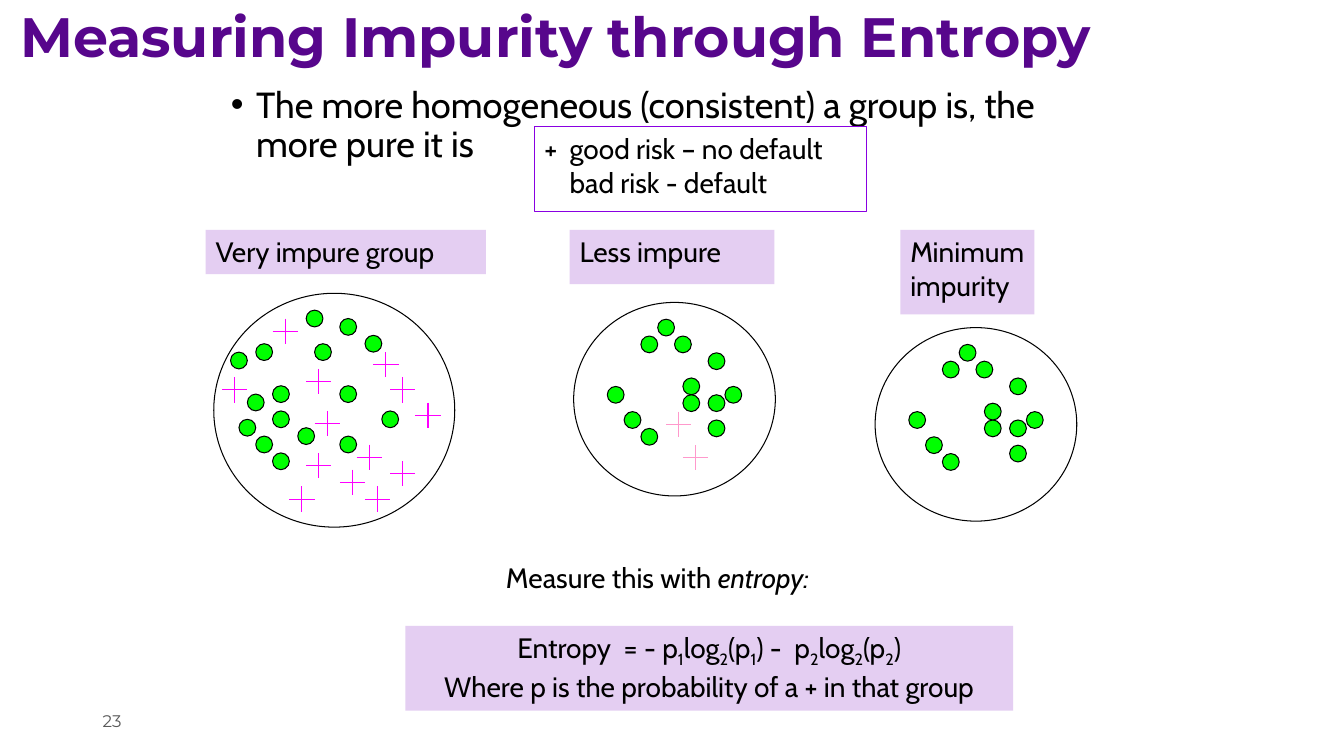
from dataclasses import dataclass
from lxml import etree
from pptx import Presentation
from pptx.dml.color import RGBColor
from pptx.enum import shapes as sh, text as tx
from pptx.oxml.ns import qn
from pptx.util import Inches, Pt

# Content
TITLE = "Measuring Impurity through Entropy"
POINT = "The more homogeneous (consistent) a group is, the more pure it is"
LEGEND = ["+\tgood risk – no default", "bad risk - default"]
MEASURE = [("Measure this with ", False), ("entropy:", True)]
# Underscore marks the next character as a subscript
FORMULA = ["Entropy  = - p_1log_2(p_1) -  p_2log_2(p_2)",
           "Where p is the probability of a + in that group"]
NUMBER = "23"

# Marks are (column, row) grid steps from the corner of their circle
MIXED_DOTS = [(20, 14), (15, 11), (5, 6), (3, 15), (7, 14), (15, 3), (11, 2),
              (12, 6), (18, 5), (15, 17), (5, 17), (7, 19), (10, 16), (7, 11),
              (4, 12), (2, 7)]
MIXED_PLUS = [(7, 3), (11, 9), (11, 19), (19, 7), (1, 10), (15, 21), (9, 23),
              (21, 20), (12, 14), (17, 18), (18, 23), (21, 10), (24, 13)]
PURE_DOTS = [(10, 2), (16, 11), (13, 11), (8, 4), (16, 14), (16, 6), (4, 10),
             (6, 13), (8, 15), (12, 4), (13, 9), (18, 10)]


@dataclass
class Theme:
    title: str = "57068C"
    ink: str = "000000"
    gray: str = "595959"
    panel: str = "E4CEF2"
    frame: str = "8900E1"
    dot: str = "00FF00"
    plus: str = "FF00FF"
    pale: str = "FF99CC"
    head: str = "Montserrat"
    body: str = "Cabin"
    big: float = 39.6
    mid: float = 25.9
    text: float = 20
    small: float = 12
    line: float = 0.75


T = Theme()
# Label, label box, circle box, dots, pluses, plus colour
GROUPS = [
    ("Very impure group", (2.04, 2.28, 2.78, 0.44), (2.12, 2.91, 2.39, 2.32),
     MIXED_DOTS, MIXED_PLUS, T.plus),
    ("Less impure", (5.65, 2.28, 2.03, 0.54), (5.69, 3, 2, 1.92),
     PURE_DOTS, [(11, 13), (13, 17)], T.pale),
    ("Minimum impurity", (8.93, 2.28, 1.33, 0.84), (8.68, 3.25, 2, 1.92),
     PURE_DOTS, [], T.pale),
]
STEP = 1 / 12
DOT, PLUS = 2 * STEP, 3 * STEP


def rgb(color):
    return RGBColor.from_string(color)


def box(*at):
    return [Inches(n) for n in at]


def style(para, size=T.text, face=T.body, color=T.ink, bold=False):
    font = para.font
    font.size, font.name, font.bold = Pt(size), face, bold
    font.color.rgb = rgb(color)


def indent(para, left, first):
    props = para._p.get_or_add_pPr()
    props.set("marL", str(Inches(left)))
    props.set("indent", str(Inches(first)))
    return props


def shape(host, kind, at, fill=None, line=None):
    item = host.shapes.add_shape(kind, *box(*at))
    item.shadow.inherit = False
    if fill:
        item.fill.solid()
        item.fill.fore_color.rgb = rgb(fill)
    else:
        item.fill.background()
    if line:
        item.line.color.rgb = rgb(line)
        item.line.width = Pt(T.line)
    else:
        item.line.fill.background()
    return item


def panel(at, lines, fill=None, line=None, align=tx.PP_ALIGN.LEFT):
    item = shape(slide, sh.MSO_SHAPE.RECTANGLE, at, fill, line)
    frame = item.text_frame
    frame.word_wrap = True
    frame.vertical_anchor = tx.MSO_ANCHOR.TOP
    for i, words in enumerate(lines):
        para = frame.add_paragraph() if i else frame.paragraphs[0]
        first, *rest = words.split("_")
        para.add_run().text = first
        for part in rest:
            sub = para.add_run()
            sub.text = part[0]
            sub._r.get_or_add_rPr().set("baseline", "-25000")
            para.add_run().text = part[1:]
        para.alignment = align
        style(para)
    return frame


def stroke(host, x1, y1, x2, y2, color):
    item = host.shapes.add_connector(sh.MSO_CONNECTOR.STRAIGHT,
                                     *box(x1, y1, x2, y2))
    item.line.color.rgb = rgb(color)
    item.line.width = Pt(T.line)
    etree.SubElement(item._element.spPr, qn("a:effectLst"))


deck = Presentation()
deck.slide_width, deck.slide_height = box(13.33, 7.5)
slide = deck.slides.add_slide(deck.slide_layouts[1])


def place(item, at, anchor, words):
    item.left, item.top, item.width, item.height = box(*at)
    frame = item.text_frame
    frame.word_wrap = True
    frame.auto_size = tx.MSO_AUTO_SIZE.NONE
    frame.vertical_anchor = anchor
    para = frame.paragraphs[0]
    para.text = words
    para.alignment = tx.PP_ALIGN.LEFT
    return para


# Title and main point
head = place(slide.shapes.title, (0.1, 0.08, 11.58, 0.62),
             tx.MSO_ANCHOR.MIDDLE, TITLE)
head.line_spacing = 0.9
style(head, T.big, T.head, T.title, True)

point = place(slide.placeholders[1], (2.19, 0.81, 9, 0.89),
              tx.MSO_ANCHOR.TOP, POINT)
point.line_spacing = 0.9
point.space_before = Pt(0)
props = indent(point, 0.25, -0.25)
etree.SubElement(props, qn("a:buChar")).set("char", "•")
style(point, T.mid)

# Groups: label, circle, dots and pluses
for label, spot, ring, dots, pluses, color in GROUPS:
    panel(spot, [label], T.panel)
    group = slide.shapes.add_group_shape()
    oval = sh.MSO_SHAPE.OVAL
    shape(group, oval, ring, line=T.ink)
    left, top = ring[:2]
    for col, row in dots:
        shape(group, oval, (left + col * STEP, top + row * STEP, DOT, DOT),
              T.dot, T.ink)
    for col, row in pluses:
        x, y = left + col * STEP, top + row * STEP
        stroke(group, x, y + PLUS / 2, x + PLUS, y + PLUS / 2, color)
        stroke(group, x + PLUS / 2, y, x + PLUS / 2, y + PLUS, color)

# Legend
key = panel((5.3, 1.26, 3.29, 0.84), LEGEND, line=T.frame)
for para, first in zip(key.paragraphs, (-0.25, 0)):
    indent(para, 0.25, first)

# Entropy formula
lead = place(slide.shapes.add_textbox(0, 0, 0, 0), (4.92, 5.51, 3.51, 0.44),
             tx.MSO_ANCHOR.TOP, "")
for words, slant in MEASURE:
    run = lead.add_run()
    run.text = words
    run.font.italic = slant
style(lead)
panel((4.02, 6.21, 6.03, 0.84), FORMULA, T.panel, align=tx.PP_ALIGN.CENTER)

# Slide number
page = place(slide.shapes.add_textbox(0, 0, 0, 0), (0.92, 6.95, 1.48, 0.4),
             tx.MSO_ANCHOR.MIDDLE, NUMBER)
style(page, T.small, T.head, T.gray)

deck.save("out.pptx")
